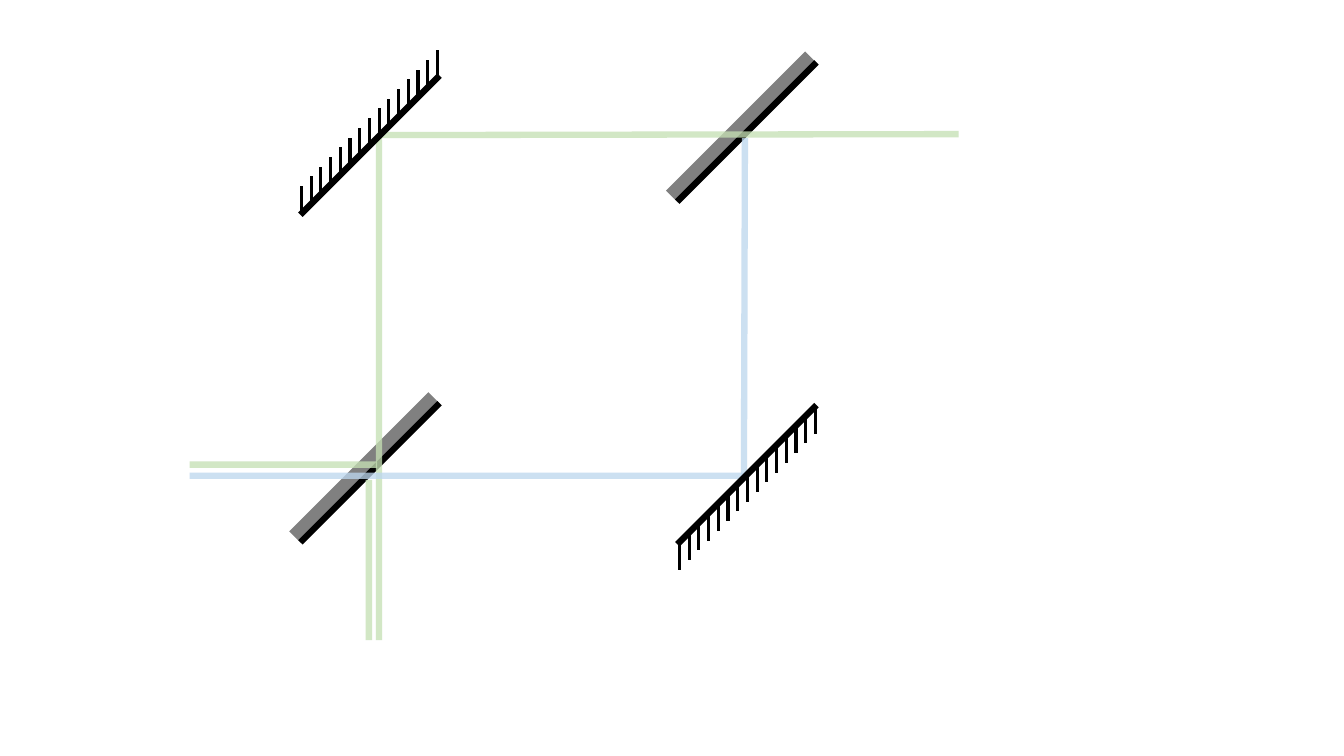
from lxml.etree import SubElement
from pptx import Presentation
from pptx.dml.color import RGBColor
from pptx.enum.shapes import MSO_CONNECTOR
from pptx.oxml.ns import qn
from pptx.util import Pt

BLACK, GREY, GREEN, BLUE = "000000", "808080", "C5E0B4", "BDD7EE"
SIDE = 99.4  # width and height of each diagonal plate
TICKS, GAP, REACH = 15, 6.94, 18.2
LEFT, RIGHT = 214.6, 483.8


def color(target, code):
    target.rgb = RGBColor.from_string(code)


def line(shapes, start, end, code, width, alpha=None):
    """Draw a straight line; alpha is its opacity in percent."""
    item = shapes.add_connector(
        MSO_CONNECTOR.STRAIGHT, *(Pt(n) for n in (*start, *end)))
    item.line.width = Pt(width)
    color(item.line.color, code)
    if alpha:
        for tone in item.line._ln.iter(qn("a:srgbClr")):
            SubElement(tone, qn("a:alpha")).set("val", str(alpha * 1000))
    SubElement(item._element.spPr, qn("a:effectLst"))


def plate(shapes, left, top, code=BLACK, width=4.5):
    """Draw the rising diagonal of a square box."""
    line(shapes, (left, top + SIDE), (left + SIDE, top), code, width)


def splitter(slide, left, top):
    group = slide.shapes.add_group_shape().shapes
    plate(group, left - 3.8, top - 3.6, GREY, 12)
    plate(group, left, top)


def mirror(slide, left, top, way):
    """Draw a hatched mirror; way is -1 for ticks above, 1 for below."""
    group = slide.shapes.add_group_shape().shapes
    plate(group, left, top)
    mid = SIDE / 2
    for i in range(TICKS):
        x = left + mid + way * (mid - 0.7 - i * GAP)
        y = top + mid - way * (mid - 2.2 - i * GAP)
        line(group, (x, y), (x, y + way * REACH), BLACK, 2.25)


def beams(slide, code, *paths):
    for start, end in paths:
        line(slide.shapes, start, end, code, 4.5, alpha=76)


def setup(slide):
    """Place the interferometer, from back to front."""
    splitter(slide, RIGHT, 44.6)
    splitter(slide, LEFT, 288)
    beams(slide, GREEN,
          ((684.7, 95.8), (270.7, 96.5)),
          ((270.7, 457.2), (270.7, 95.8)))
    mirror(slide, LEFT, 54, -1)
    beams(slide, BLUE,
          ((531.4, 339.8), (532.1, 98.6)),
          ((532.1, 339.8), (135.4, 339.8)))
    beams(slide, GREEN,
          ((269.3, 331.9), (135.4, 331.9)),
          ((263.5, 457.2), (263.5, 342.7)))
    mirror(slide, RIGHT, 289.4, 1)


def main():
    deck = Presentation()
    deck.slide_width, deck.slide_height = Pt(960), Pt(540)
    setup(deck.slides.add_slide(deck.slide_layouts[6]))
    deck.save("out.pptx")


if __name__ == "__main__":
    main()
